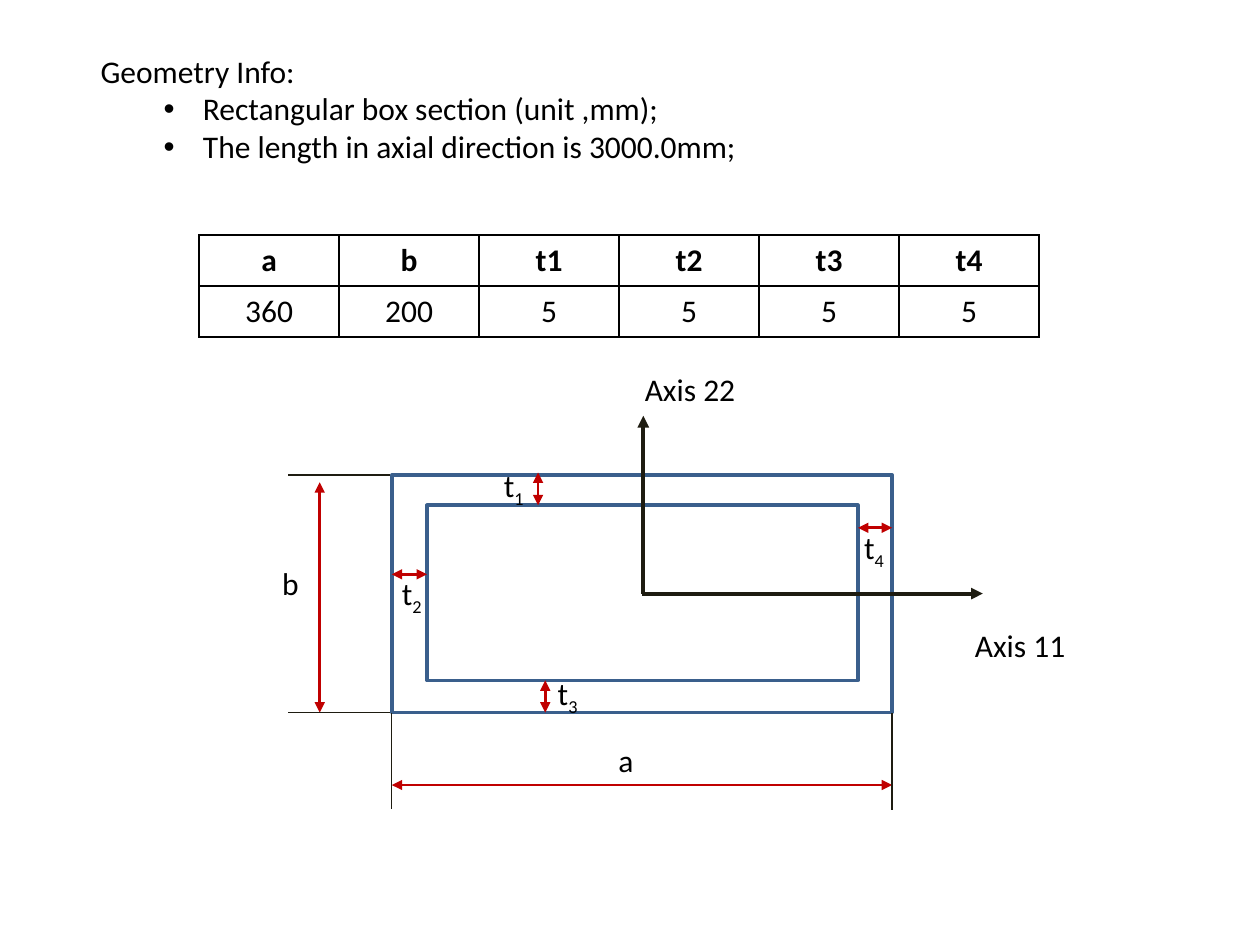
"""Builds a slide on the geometry of a rectangular box section."""
import pptx
import pptx.dml.color
import pptx.enum.shapes
import pptx.enum.text
import pptx.oxml
import pptx.oxml.ns
import pptx.util

Pt = pptx.util.Pt
COLORS = {"text": "000000", "wall": "3A5F8C", "dimension": "C00000",
          "axis": "1E1C11", "paper": "FFFFFF"}
RGB = {name: pptx.dml.color.RGBColor.from_string(value) for name, value in COLORS.items()}
TEXT_FORMAT = {"name": "Calibri", "size": Pt(18), "bold": False}
NAMESPACE = pptx.oxml.ns.nsdecls("a")


def add_span(para, text, **changes):
    span = para.add_run()
    span.text = text
    for name, value in {**TEXT_FORMAT, **changes}.items():
        setattr(span.font, name, value)
    span.font.color.rgb = RGB["text"]
    return span


def add_line(page, start, end, color, width, ends):
    line = page.shapes.add_connector(
        pptx.enum.shapes.MSO_CONNECTOR.STRAIGHT, *map(Pt, (*start, *end)))
    line.line.color.rgb = RGB[color]
    line.line.width = Pt(width)
    outline = line.line._get_or_add_ln()
    for tag in ends:
        outline.append(pptx.oxml.parse_xml(f'<a:{tag} {NAMESPACE} type="triangle"/>'))
    line._element.spPr.append(pptx.oxml.parse_xml(f"<a:effectLst {NAMESPACE}/>"))


deck = pptx.Presentation()
deck.slide_width, deck.slide_height = Pt(720), Pt(540)
page = deck.slides.add_slide(deck.slide_layouts[6])

info = page.shapes.add_textbox(Pt(50.4), Pt(26), Pt(635), Pt(94.3))
info.text_frame.word_wrap = True
para = info.text_frame.paragraphs[0]
add_span(para, "Geometry Info:")
for text in ("Rectangular box section (unit ,mm);",
             "The length in axial direction is 3000.0mm;"):
    para = info.text_frame.add_paragraph()
    para.level = 1
    add_span(para, text)
    properties = para._p.get_or_add_pPr()
    properties.set("marL", str(Pt(58.5)))
    properties.set("indent", str(Pt(-22.5)))
    for bullet in ('buFont {} typeface="Arial"', 'buChar {} char="•"'):
        properties.append(pptx.oxml.parse_xml(f"<a:{bullet.format(NAMESPACE)}/>"))

left, top, right, bottom = 223.9, 271.5, 509.8, 407.2
inner_left, inner_top, inner_right, inner_bottom = 244, 288.7, 490.3, 388.8
center_x, center_y = 367.6, 339.2

walls = [
    (inner_left, inner_top, inner_right, inner_bottom, True),
    (left, top, right, bottom, False),
]
for x1, y1, x2, y2, filled in walls:
    wall = page.shapes.add_shape(pptx.enum.shapes.MSO_SHAPE.RECTANGLE,
                                 Pt(x1), Pt(y1), Pt(x2 - x1), Pt(y2 - y1))
    wall.shadow.inherit = False
    if filled:
        wall.fill.solid()
        wall.fill.fore_color.rgb = RGB["paper"]
    else:
        wall.fill.background()
    wall.line.color.rgb = RGB["wall"]
    wall.line.width = Pt(2)

dimensions = [
    ((left, 448.6), (right, 448.6)),
    ((182.7, 275.6), (182.7, bottom)),
    ((307.5, 270), (307.5, inner_top)),
    ((311.6, inner_bottom), (311.6, bottom)),
    ((inner_left, 328.2), (left, 328.2)),
    ((inner_right, 301.6), (right, 301.6)),
]
axes = [
    ((center_x - 0.7, center_y), (561.6, center_y)),
    ((center_x, center_y), (center_x, 237.6)),
]
extensions = [
    ((164.8, top), (223, top)),
    ((164.8, bottom), (223, bottom)),
    ((left, bottom), (left, 462.4)),
    ((right, bottom), (right, 462.8)),
]
for lines, color, width, ends in (
        (axes, "axis", 2.25, ("tailEnd",)),
        (dimensions, "dimension", 1.5, ("headEnd", "tailEnd")),
        (extensions, "axis", 0.75, ())):
    for start, end in lines:
        add_line(page, start, end, color, width, ends)

labels = [
    ("b", "", 154.1, 319, 57),
    ("a", "", 346.3, 419.8, 57),
    ("t", "1", 280.8, 262.8, 57),
    ("t", "2", 222.5, 324.7, 57),
    ("t", "3", 311.6, 381.6, 57),
    ("t", "4", 486.7, 298, 57),
    ("Axis 11", "", 550, 354.2, 108),
    ("Axis 22", "", 361.4, 208, 108),
]
for text, subscript, x, y, width in labels:
    box = page.shapes.add_textbox(Pt(x), Pt(y), Pt(width), Pt(29))
    box.text_frame.word_wrap = True
    para = box.text_frame.paragraphs[0]
    add_span(para, text)
    if subscript:
        span = add_span(para, subscript)
        span._r.get_or_add_rPr().set("baseline", "-25000")

rows = [("a", "b", "t1", "t2", "t3", "t4"), ("360", "200", "5", "5", "5", "5")]
table = page.shapes.add_table(2, 6, Pt(113.8), Pt(134.2), Pt(480), Pt(58.4)).table
for column in table.columns:
    column.width = Pt(80)
for row_index, values in enumerate(rows):
    table.rows[row_index].height = Pt(29.2)
    for column_index, value in enumerate(values):
        cell = table.cell(row_index, column_index)
        para = cell.text_frame.paragraphs[0]
        para.alignment = pptx.enum.text.PP_ALIGN.CENTER
        add_span(para, value, bold=row_index == 0)
        properties = cell._tc.get_or_add_tcPr()
        for side in "LRTB":
            properties.append(pptx.oxml.parse_xml(
                f'<a:ln{side} {NAMESPACE} w="{Pt(1)}"><a:solidFill>'
                f'<a:srgbClr val="{COLORS["text"]}"/></a:solidFill></a:ln{side}>'))
        cell.fill.background()

deck.save("out.pptx")
